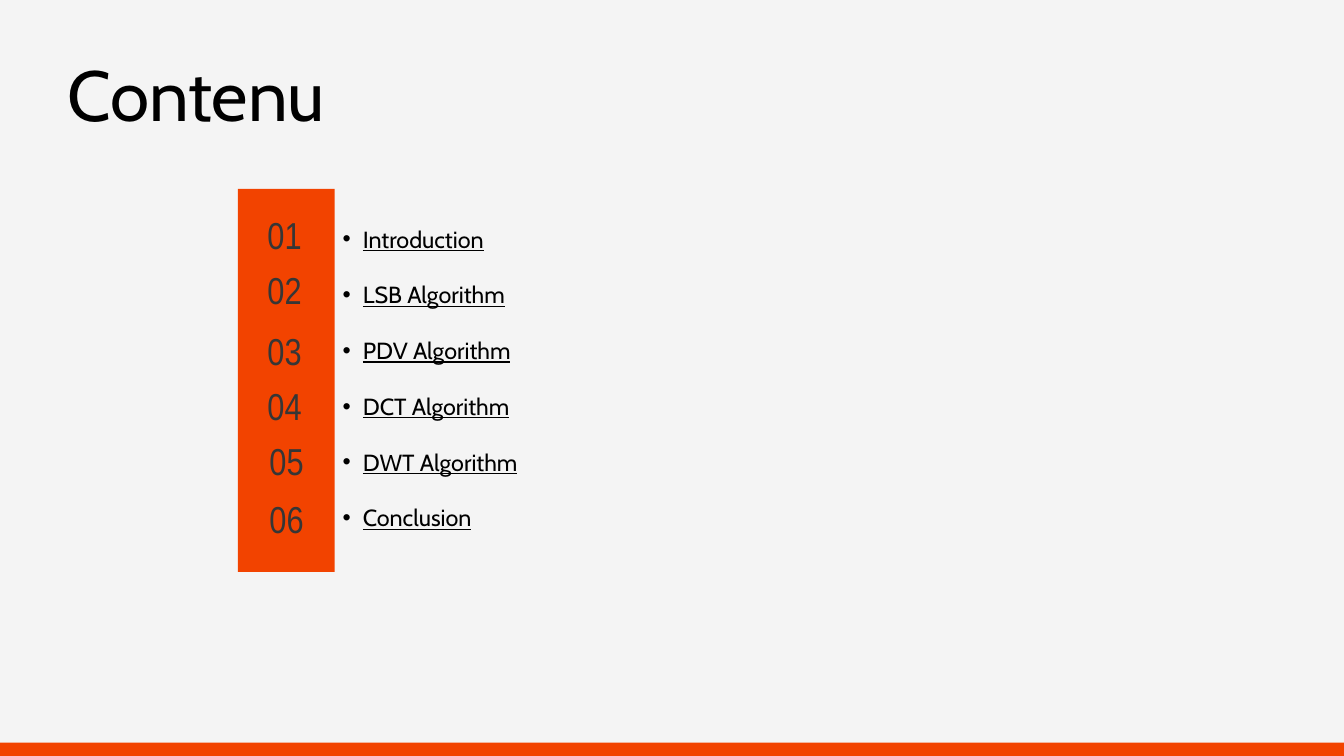
from dataclasses import dataclass

from lxml import etree
from pptx import Presentation
from pptx.dml.color import RGBColor
from pptx.enum.shapes import MSO_SHAPE
from pptx.enum.text import MSO_AUTO_SIZE, PP_ALIGN
from pptx.oxml.ns import qn
from pptx.util import Inches, Pt

RECTANGLE = MSO_SHAPE.RECTANGLE
FIT_SHAPE = MSO_AUTO_SIZE.SHAPE_TO_FIT_TEXT
LEFT, CENTER, RIGHT = PP_ALIGN.LEFT, PP_ALIGN.CENTER, PP_ALIGN.RIGHT

TITLE = "Contenu "
TOPICS = [
    {"name": "Introduction", "width": 5.96, "number_at": (3.75, 3.15)},
    {"name": "LSB Algorithm", "width": 5.96, "number_at": (3.75, 3.97)},
    {"name": "PDV Algorithm", "width": 11.07, "number_at": (3.75, 4.88)},
    {"name": "DCT Algorithm", "width": 8.38, "number_at": (3.75, 5.7)},
    {"name": "DWT Algorithm", "width": 5.96, "number_at": (3.78, 6.52)},
    {"name": "Conclusion", "width": 5.96, "number_at": (3.78, 7.38)},
]
TOPIC_LEFT, TOPIC_TOP, TOPIC_STEP = 4.81, 3.31, 0.83


@dataclass(frozen=True)
class TextStyle:
    size: float
    line_spacing: float
    font: str
    color: str
    alignment: PP_ALIGN


@dataclass(frozen=True)
class Theme:
    background: str = "F4F4F4"
    accent: str = "F24300"
    title: TextStyle = TextStyle(76, 91.2, "Cabin", "000000", RIGHT)
    topic: TextStyle = TextStyle(25, 32.5, "Cabin", "000000", LEFT)
    number: TextStyle = TextStyle(40.2, 48.3, "Arial Narrow", "363636", CENTER)


THEME = Theme()


def add_bar(slide, left, top, width, height):
    shape = slide.shapes.add_shape(
        RECTANGLE, Inches(left), Inches(top), Inches(width), Inches(height))
    shape.shadow.inherit = False
    shape.fill.solid()
    shape.fill.fore_color.rgb = RGBColor.from_string(THEME.accent)
    shape.line.fill.background()


def add_bullet(paragraph):
    paragraph.level = 1
    properties = paragraph._p.get_or_add_pPr()
    properties.set("marL", str(Inches(0.59)))
    properties.set("indent", str(Inches(-0.3)))
    etree.SubElement(properties, qn("a:buFont")).set("typeface", "Arial")
    etree.SubElement(properties, qn("a:buChar")).set("char", "•")


def add_text(slide, text, left, top, width, height, style, bulleted=False):
    box = slide.shapes.add_textbox(
        Inches(left), Inches(top), Inches(width), Inches(height))
    frame = box.text_frame
    frame.margin_left = frame.margin_right = 0
    frame.margin_top = frame.margin_bottom = 0
    frame.word_wrap = True
    frame.auto_size = FIT_SHAPE
    paragraph = frame.paragraphs[0]
    paragraph.text = text
    paragraph.alignment = style.alignment
    paragraph.line_spacing = Pt(style.line_spacing)
    if bulleted:
        add_bullet(paragraph)
        paragraph.font.underline = True
    paragraph.font.name = style.font
    paragraph.font.size = Pt(style.size)
    paragraph.font.color.rgb = RGBColor.from_string(style.color)


def main():
    """Build the contents slide with its numbered topics."""
    presentation = Presentation()
    presentation.slide_width = Inches(20)
    presentation.slide_height = Inches(11.25)
    slide = presentation.slides.add_slide(presentation.slide_layouts[6])
    slide.background.fill.solid()
    slide.background.fill.fore_color.rgb = RGBColor.from_string(THEME.background)

    add_bar(slide, 0, 11.05, 20, 0.2)
    add_text(slide, TITLE, -1.51, 0.76, 6.58, 1.27, THEME.title)
    add_bar(slide, 3.54, 2.81, 1.44, 5.7)
    for index, topic in enumerate(TOPICS):
        add_text(slide, f"{index + 1:02}", *topic["number_at"], 0.97, 0.67,
                 THEME.number)
        add_text(slide, topic["name"], TOPIC_LEFT, TOPIC_TOP + index * TOPIC_STEP,
                 topic["width"], 0.44, THEME.topic, bulleted=True)
    presentation.save("out.pptx")


if __name__ == "__main__":
    main()
